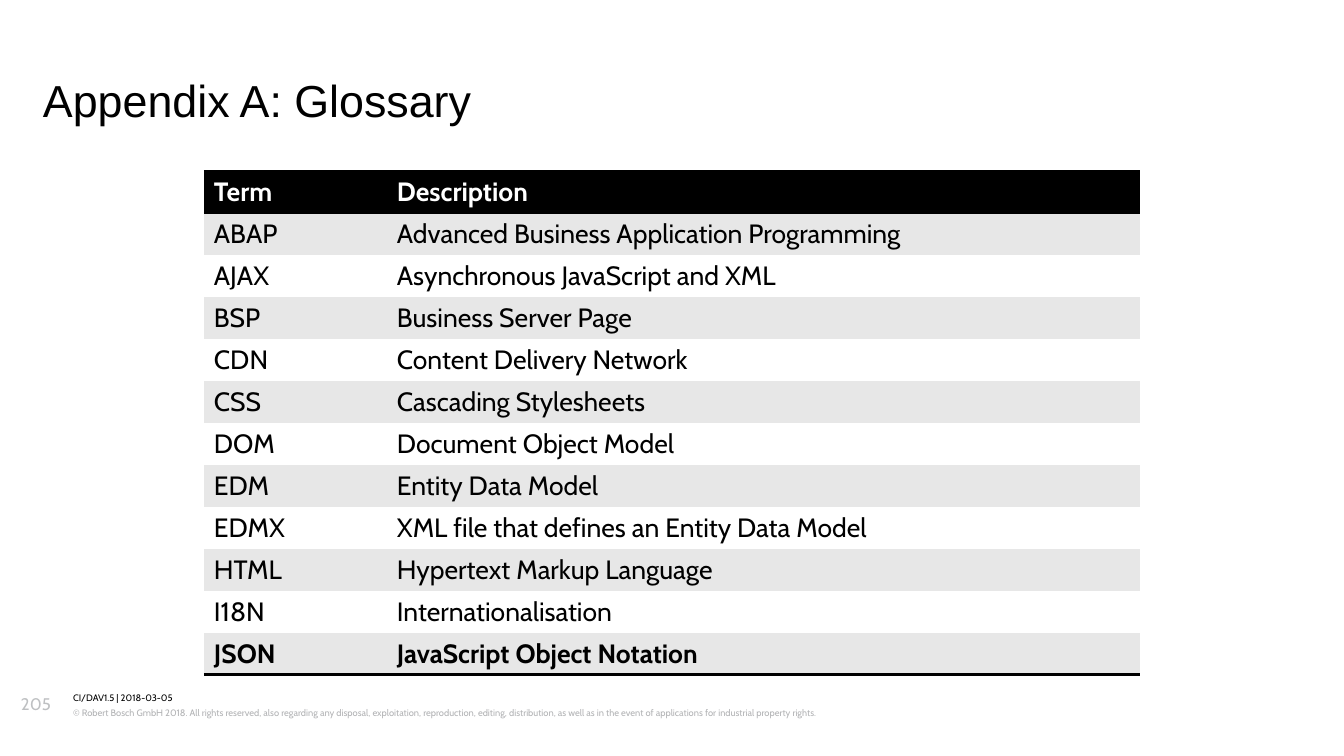
from lxml.etree import SubElement
from pptx import Presentation
from pptx.dml.color import RGBColor
from pptx.enum.text import MSO_ANCHOR, PP_ALIGN
from pptx.oxml.ns import qn
from pptx.util import Pt

PX = 914400 / 112
BLACK = RGBColor(0x00, 0x00, 0x00)
WHITE = RGBColor(0xFF, 0xFF, 0xFF)
BAND = RGBColor(0xE7, 0xE7, 0xE7)
LEGAL_GREY = RGBColor(0xB2, 0xB3, 0xB5)
NUMBER_GREY = RGBColor(0xBE, 0xC0, 0xC2)
PLAIN_TABLE_STYLE = "{2D5ABB26-0587-4C30-8999-92F81FD0307C}"

GLOSSARY = [
    ("Term", "Description"),
    ("ABAP", "Advanced Business Application Programming"),
    ("AJAX", "Asynchronous JavaScript and XML"),
    ("BSP", "Business Server Page"),
    ("CDN", "Content Delivery Network"),
    ("CSS", "Cascading Stylesheets"),
    ("DOM", "Document Object Model"),
    ("EDM", "Entity Data Model"),
    ("EDMX", "XML file that defines an Entity Data Model"),
    ("HTML", "Hypertext Markup Language"),
    ("I18N", "Internationalisation"),
    ("JSON", "JavaScript Object Notation"),
]


def px(length):
    return round(length * PX)


def assign(target, values):
    for name, value in values.items():
        setattr(target, name, value)


class SlideBuilder:
    def __init__(self, page, font_name):
        self.page = page
        self.font_name = font_name

    def add_text(self, frame, text, size, color, bold=False, font_name=None, spacing=1.0):
        para = frame.paragraphs[0]
        assign(para, {"line_spacing": spacing, "alignment": PP_ALIGN.LEFT})
        span = para.add_run()
        span.text = text
        assign(span.font, {"name": font_name or self.font_name,
                           "size": Pt(size), "bold": bold})
        span.font.color.rgb = color

    def place(self, box, area, anchor):
        assign(box, dict(zip(("left", "top", "width", "height"), map(px, area))))
        assign(box.text_frame, {
            "margin_left": 0, "margin_top": 0, "margin_right": 0,
            "margin_bottom": 0, "word_wrap": True, "vertical_anchor": anchor})

    def title(self, text, area):
        box = self.page.shapes.title
        self.place(box, area, MSO_ANCHOR.MIDDLE)
        self.add_text(box.text_frame, text, 28.8, BLACK, font_name="Arial", spacing=0.9)

    def label(self, text, area, size, color):
        box = self.page.shapes.add_textbox(0, 0, 0, 0)
        self.place(box, area, MSO_ANCHOR.TOP)
        self.add_text(box.text_frame, text, size, color, spacing=1.07)

    def rule(self, cell, side):
        line = SubElement(cell._tc.get_or_add_tcPr(), qn(f"a:{side}"), w=str(Pt(2)))
        fill = SubElement(line, qn("a:solidFill"))
        SubElement(fill, qn("a:srgbClr"), val=str(BLACK))

    def table(self, rows, left, top, column_widths, row_height):
        frame = self.page.shapes.add_table(
            len(rows), len(column_widths), px(left), px(top),
            px(sum(column_widths)), px(row_height * len(rows)))
        table = frame.table
        table._tbl.tblPr.find(qn("a:tableStyleId")).text = PLAIN_TABLE_STYLE
        for column, width in zip(table.columns, column_widths):
            column.width = px(width)
        last = len(rows) - 1
        for index, texts in enumerate(rows):
            table.rows[index].height = px(row_height)
            header = index == 0
            for cell, text in zip(table.rows[index].cells, texts):
                assign(cell, {"margin_left": px(10), "margin_right": px(10),
                              "margin_top": px(5), "margin_bottom": px(5)})
                # Borders go before the fill in the cell properties
                if header:
                    self.rule(cell, "lnT")
                if index in (0, last):
                    self.rule(cell, "lnB")
                cell.fill.solid()
                cell.fill.fore_color.rgb = BLACK if header else BAND if index % 2 else WHITE
                self.add_text(cell.text_frame, text, 17, WHITE if header else BLACK,
                              bold=index in (0, last))


def main():
    deck = Presentation()
    assign(deck, {"slide_width": px(1344), "slide_height": px(756)})
    page = deck.slides.add_slide(deck.slide_layouts[5])
    builder = SlideBuilder(page, "Cabin")

    # Footer
    builder.label("CI/DAV1.5 | 2018-03-05", (73, 691, 1121, 13), 6, BLACK)
    builder.label(
        "© Robert Bosch GmbH 2018. All rights reserved, also regarding any disposal, "
        "exploitation, reproduction, editing, distribution, as well as in the event of "
        "applications for industrial property rights.",
        (73, 706, 1121, 27), 6, LEGAL_GREY)
    builder.label("205", (21, 692, 43, 28), 10.8, NUMBER_GREY)

    # Title and glossary
    builder.title("Appendix A: Glossary", (43, 79, 1007, 48))
    builder.table(GLOSSARY, 204, 171, (183, 753), 42)

    deck.save("out.pptx")


if __name__ == "__main__":
    main()
